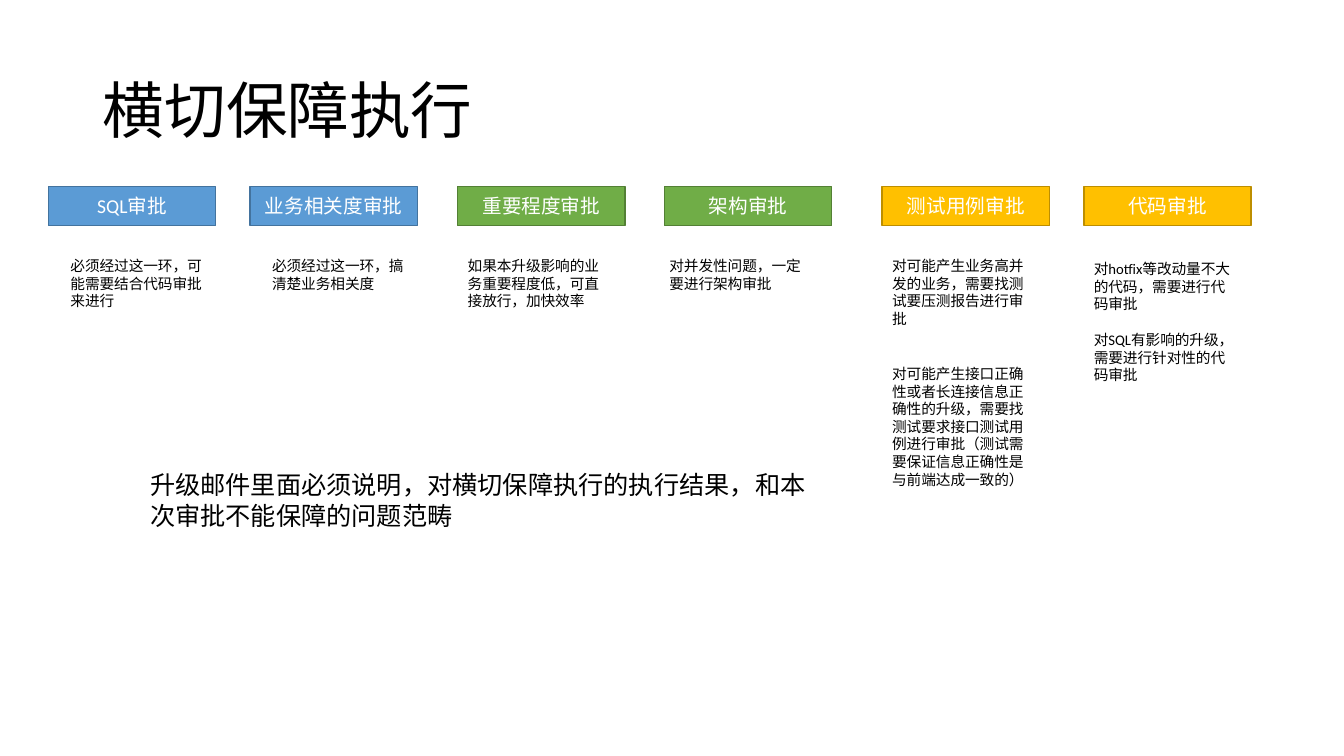
from pptx import Presentation
from pptx.dml.color import RGBColor
from pptx.enum import shapes, text
from pptx.util import Inches, Pt

FONT = "Calibri"
COLORS = {
    "ink": "000000",
    "white": "FFFFFF",
    "blue": "5B9BD5",
    "blue_edge": "43739E",
    "green": "70AD47",
    "green_edge": "538035",
    "gold": "FFC000",
    "gold_edge": "BD8E00",
}
HEADER_TOP, HEADER_WIDTH, HEADER_HEIGHT = 1.85, 1.66, 0.39
NOTE_WIDTH = 1.55
NOTE_SIZE = 10.5

# header left, label, color, note left, [(note top, note height, paragraphs)]
APPROVALS = [
    (0.48, "SQL审批", "blue", 0.6,
     [(2.5, 0.63, ["必须经过这一环，可能需要结合代码审批来进行"])]),
    (2.48, "业务相关度审批", "blue", 2.6,
     [(2.5, 0.45, ["必须经过这一环，搞清楚业务相关度"])]),
    (4.54, "重要程度审批", "green", 4.54,
     [(2.5, 0.63, ["如果本升级影响的业务重要程度低，可直接放行，加快效率"])]),
    (6.59, "架构审批", "green", 6.54,
     [(2.5, 0.45, ["对并发性问题，一定要进行架构审批"])]),
    (8.75, "测试用例审批", "gold", 8.75,
     [(2.5, 0.81, ["对可能产生业务高并发的业务，需要找测试要压测报告进行审批"]),
      (3.57, 1.34, ["对可能产生接口正确性或者长连接信息正确性的升级，需要找测试要求"
                    "接口测试用例进行审批（测试需要保证信息正确性是与前端达成一致的）"])]),
    (10.75, "代码审批", "gold", 10.75,
     [(2.53, 1.34, ["对hotfix等改动量不大的代码，需要进行代码审批",
                    "对SQL有影响的升级，需要进行针对性的代码审批"])]),
]


def rgb(name):
    return RGBColor.from_string(COLORS[name])


def write(frame, paragraphs, size, color="ink", frame_format=None, **paragraph_format):
    """Fill a text frame, one line of space between its paragraphs."""
    frame_values = {"word_wrap": True, "auto_size": text.MSO_AUTO_SIZE.NONE}
    frame_values.update(frame_format or {})
    for key, value in frame_values.items():
        setattr(frame, key, value)
    for index, words in enumerate(paragraphs):
        paragraph = frame.paragraphs[0] if index == 0 else frame.add_paragraph()
        for key, value in paragraph_format.items():
            setattr(paragraph, key, value)
        if index:
            paragraph.space_before = Pt(size * 1.22)
        run = paragraph.add_run()
        run.text = words
        for key, value in {"name": FONT, "size": Pt(size)}.items():
            setattr(run.font, key, value)
        run.font.color.rgb = rgb(color)


def set_title(slide, words):
    title = slide.shapes.title
    place = {"left": 0.92, "top": 0.4, "width": 11.5, "height": 1.45}
    for key, value in place.items():
        setattr(title, key, Inches(value))
    write(title.text_frame, [words], 44,
          frame_format={"vertical_anchor": text.MSO_ANCHOR.MIDDLE},
          alignment=text.PP_ALIGN.LEFT, line_spacing=0.9)


def add_header(slide, left, label, color):
    header = slide.shapes.add_shape(
        shapes.MSO_SHAPE.RECTANGLE, Inches(left), Inches(HEADER_TOP),
        Inches(HEADER_WIDTH), Inches(HEADER_HEIGHT))
    header.shadow.inherit = False
    header.fill.solid()
    header.fill.fore_color.rgb = rgb(color)
    header.line.color.rgb = rgb(color + "_edge")
    header.line.width = Pt(1)
    write(header.text_frame, [label], 14, "white",
          {"vertical_anchor": text.MSO_ANCHOR.MIDDLE},
          alignment=text.PP_ALIGN.CENTER)


def add_note(slide, left, top, width, height, paragraphs, size):
    note = slide.shapes.add_textbox(
        Inches(left), Inches(top), Inches(width), Inches(height))
    write(note.text_frame, paragraphs, size,
          frame_format={"auto_size": text.MSO_AUTO_SIZE.SHAPE_TO_FIT_TEXT})


def main():
    deck = Presentation()
    deck.slide_width, deck.slide_height = Inches(13.33), Inches(7.5)
    slide = deck.slides.add_slide(deck.slide_layouts.get_by_name("Title Only"))

    set_title(slide, "横切保障执行")
    for header_left, label, color, note_left, notes in APPROVALS:
        add_header(slide, header_left, label, color)
        for top, height, paragraphs in notes:
            add_note(slide, note_left, top, NOTE_WIDTH, height, paragraphs, NOTE_SIZE)
    add_note(slide, 1.39, 4.61, 6.7, 0.71,
             ["升级邮件里面必须说明，对横切保障执行的执行结果，和本次审批不能保障的问题范畴"], 18)

    deck.save("out.pptx")


if __name__ == "__main__":
    main()
